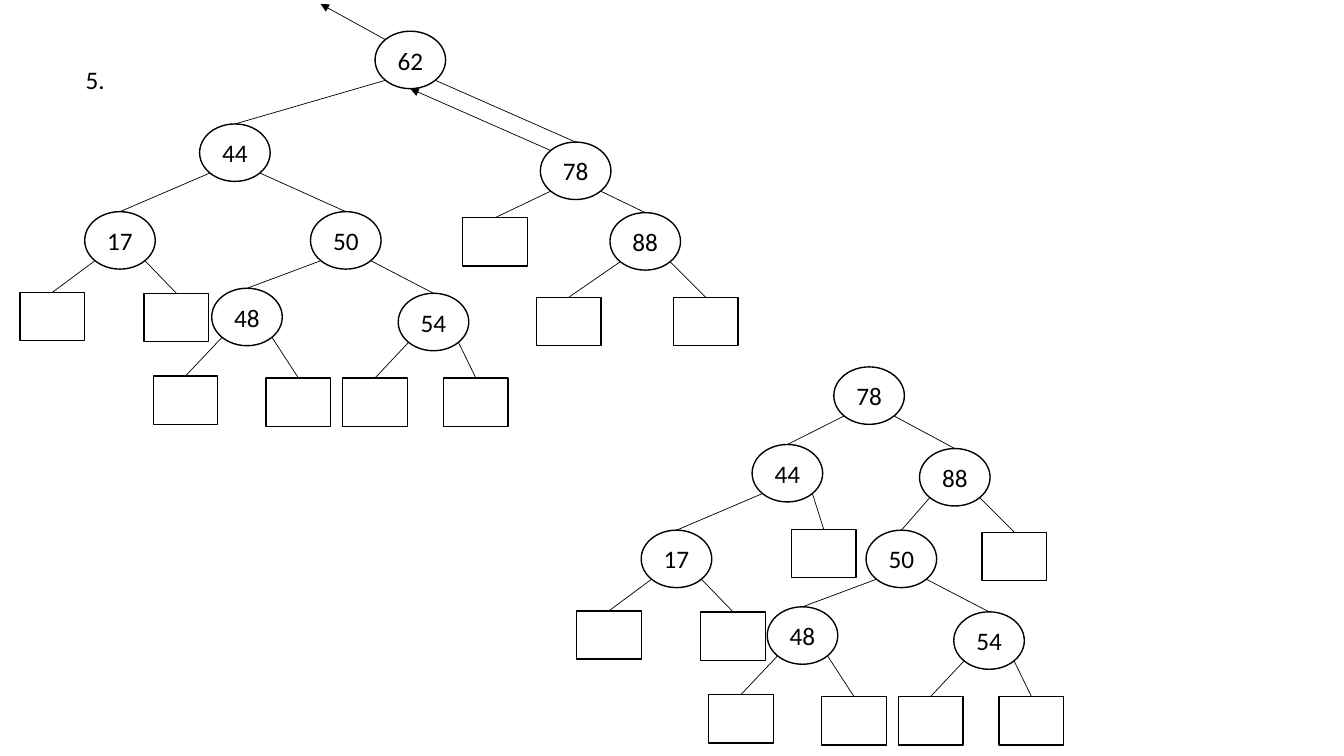
from dataclasses import dataclass
from math import sqrt

from lxml.etree import SubElement
from pptx import Presentation
from pptx.dml.color import RGBColor
from pptx.enum.shapes import MSO_CONNECTOR, MSO_SHAPE
from pptx.enum.text import MSO_ANCHOR, PP_ALIGN
from pptx.oxml.ns import qn
from pptx.util import Inches, Pt

FONT = "Calibri"
BLACK, WHITE = "000000", "FFFFFF"
OVAL_W, OVAL_H = 0.70, 0.57
BOX_W, BOX_H = 0.64, 0.48
DIAG = sqrt(0.5)


@dataclass
class Node:
    """A tree key with kids, each given as (right shift, down shift, node)."""
    key: str = ""
    kids: tuple = ()


LEAF = Node()
N17 = Node("17", ((-0.64, 0.80, LEAF), (0.59, 0.81, LEAF)))
N48 = Node("48", ((-0.58, 0.87, LEAF), (0.54, 0.89, LEAF)))
N54 = Node("54", ((-0.55, 0.84, LEAF), (0.45, 0.84, LEAF)))
N50 = Node("50", ((-0.98, 0.76, N48), (0.87, 0.81, N54)))

BEFORE = Node("62", (
    (-1.74, 0.92, Node("44", ((-1.14, 0.87, N17), (1.10, 0.87, N50)))),
    (1.64, 1.10, Node("78", (
        (-0.77, 0.75, LEAF),
        (0.69, 0.70, Node("88", ((-0.73, 0.84, LEAF), (0.63, 0.84, LEAF)))),
    ))),
))
AFTER = Node("78", (
    (-0.81, 0.77, Node("44", ((-1.10, 0.85, N17), (0.39, 0.84, LEAF)))),
    (0.85, 0.81, Node("88", ((-0.53, 0.81, N50), (0.62, 0.83, LEAF)))),
))


def color(code):
    """Turn a hex string into a colour."""
    return RGBColor.from_string(code)


def write(frame, text, align):
    """Put one styled run into a text frame."""
    para = frame.paragraphs[0]
    para.alignment = align
    run = para.add_run()
    run.text = text
    run.font.name = FONT
    run.font.size = Pt(18)
    run.font.color.rgb = color(BLACK)


def add_label(slide, text, left, top, width, height):
    """Add a plain text box."""
    box = slide.shapes.add_textbox(
        Inches(left), Inches(top), Inches(width), Inches(height))
    box.text_frame.word_wrap = True
    write(box.text_frame, text, PP_ALIGN.LEFT)


def add_cell(slide, key, left, top):
    """Add an oval for a key, or a box for an empty leaf."""
    kind, width, height = (
        (MSO_SHAPE.OVAL, OVAL_W, OVAL_H) if key
        else (MSO_SHAPE.RECTANGLE, BOX_W, BOX_H))
    cell = slide.shapes.add_shape(
        kind, Inches(left), Inches(top), Inches(width), Inches(height))
    cell.shadow.inherit = False
    cell.fill.solid()
    cell.fill.fore_color.rgb = color(WHITE)
    cell.line.color.rgb = color(BLACK)
    cell.line.width = Pt(1)
    if key:
        cell.text_frame.vertical_anchor = MSO_ANCHOR.MIDDLE
        write(cell.text_frame, key, PP_ALIGN.CENTER)
    return cell


def add_line(slide, start, end, arrow=False):
    """Add a thin straight line, with an arrowhead at its end if asked."""
    line = slide.shapes.add_connector(
        MSO_CONNECTOR.STRAIGHT, *map(Inches, start + end))
    line.line.color.rgb = color(BLACK)
    line.line.width = Pt(0.5)
    if arrow:
        SubElement(line.line._get_or_add_ln(), qn("a:tailEnd"), type="triangle")
    SubElement(line._element.spPr, qn("a:effectLst"))
    return line


def rim(left, top, across, down):
    """Find the diagonal point of an oval on the side given by two signs."""
    return (left + OVAL_W / 2 * (1 + across * DIAG),
            top + OVAL_H / 2 * (1 + down * DIAG))


def add_tree(slide, node, left, top):
    """Draw a node, its kids and the lines that join them."""
    cell = add_cell(slide, node.key, left, top)
    for side, (right, down, kid) in zip((-1, 1), node.kids):
        child = add_tree(slide, kid, left + right, top + down)
        start = rim(left, top, side, 1)
        add_line(slide, start, start).end_connect(child, 0)
    return cell


def main():
    """Build the slide with the tree before and after the rotation."""
    deck = Presentation()
    deck.slide_width, deck.slide_height = Inches(13.33), Inches(7.5)
    slide = deck.slides.add_slide(deck.slide_layouts[6])
    add_label(slide, "5.", 0.75, 0.59, 0.54, 0.40)
    add_tree(slide, BEFORE, 3.72, 0.31)
    add_line(slide, rim(3.72, 0.31, -1, -1), (3.18, 0.04), arrow=True)
    add_line(slide, rim(5.36, 1.41, -1, -1), (4.07, 0.88), arrow=True)
    add_tree(slide, AFTER, 8.27, 3.64)
    deck.save("out.pptx")


if __name__ == "__main__":
    main()
